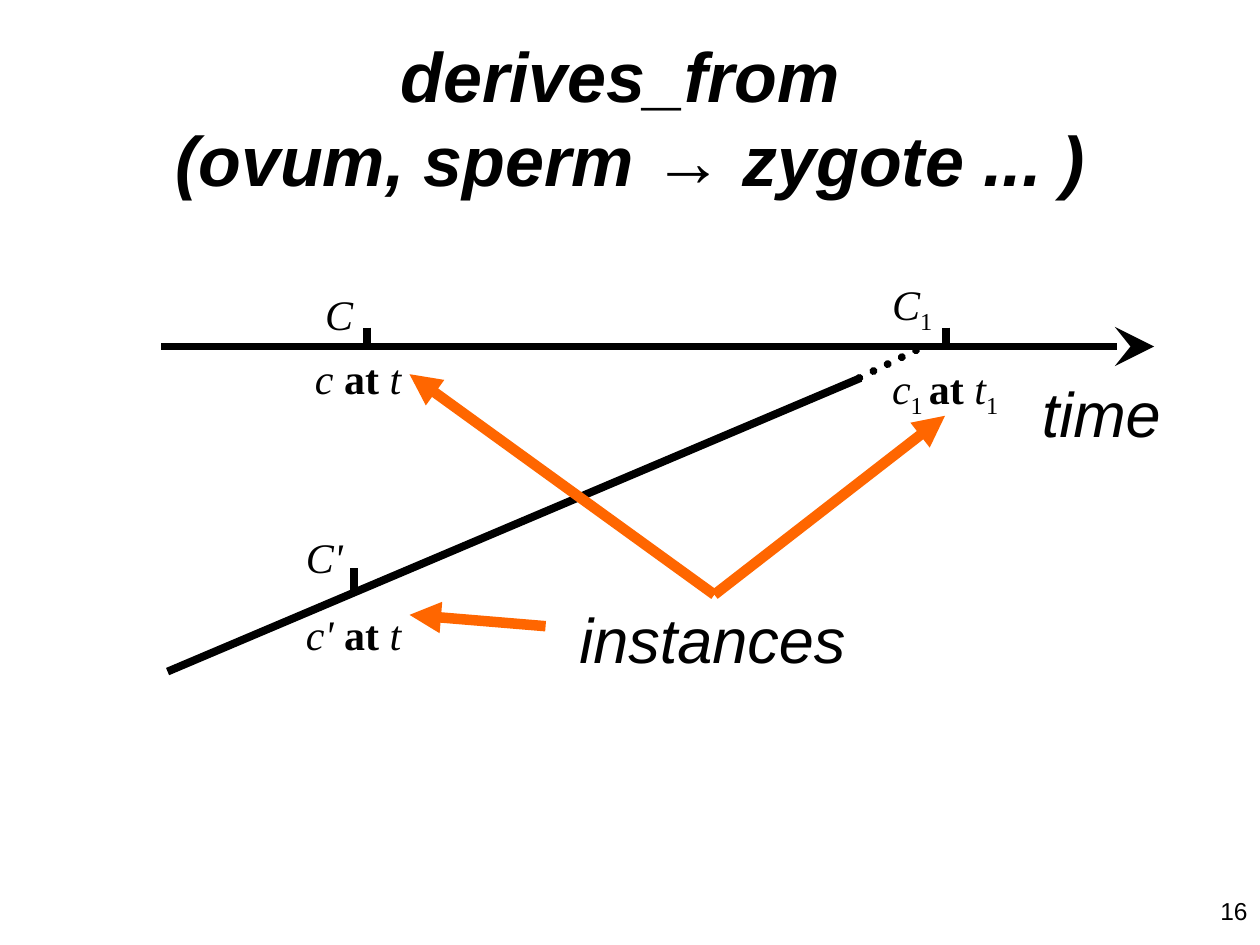
from lxml import etree
from pptx import Presentation
from pptx import util as u
from pptx.dml.color import RGBColor
from pptx.enum import dml, shapes, text
from pptx.oxml.ns import qn

COLORS = {"ink": "000000", "pointer": "FF6600"}
SERIF, SANS = "Times New Roman", "Arial"


class SlideBuilder:
    def __init__(self, slide):
        self.slide = slide

    def line(self, start, end, color="ink", width=4.5, arrow=None, size="med", dotted=False):
        """Straight line; an arrowhead, if any, sits at its end."""
        points = [u.Inches(v) for v in (*start, *end)]
        stroke = self.slide.shapes.add_connector(shapes.MSO_CONNECTOR.STRAIGHT, *points)
        stroke.line.color.rgb = RGBColor.from_string(COLORS[color])
        stroke.line.width = u.Pt(width)
        if dotted:
            stroke.line.dash_style = dml.MSO_LINE.ROUND_DOT
        ln = stroke.line._get_or_add_ln()
        if dotted:
            ln.set("cap", "rnd")
        if arrow:
            etree.SubElement(ln, qn("a:tailEnd"), type=arrow, w=size, len=size)
        etree.SubElement(stroke._element.spPr, qn("a:effectLst"))

    def text(self, box, paragraphs, size, font=SANS, align="LEFT", anchor="TOP",
             inset=(0.1, 0.05), after=0, indent=0):
        """Each paragraph is a list of (words, style): i italic, b bold, s subscript."""
        shape = self.slide.shapes.add_textbox(*(u.Inches(v) for v in box))
        frame = shape.text_frame
        frame.word_wrap = True
        frame.vertical_anchor = text.MSO_ANCHOR[anchor]
        frame.margin_left = frame.margin_right = u.Inches(inset[0])
        frame.margin_top = frame.margin_bottom = u.Inches(inset[1])
        for index, pieces in enumerate(paragraphs):
            paragraph = frame.paragraphs[0] if index == 0 else frame.add_paragraph()
            paragraph.alignment = text.PP_ALIGN[align]
            paragraph.space_after = u.Pt(after)
            if indent and index == 0:
                paragraph._p.get_or_add_pPr().set("marL", str(u.Inches(indent)))
            for words, style in pieces:
                if words == "\n":
                    paragraph.add_line_break()
                    continue
                run = paragraph.add_run()
                run.text = words
                run.font.name, run.font.size = font, u.Pt(size)
                run.font.bold, run.font.italic = "b" in style, "i" in style
                run.font.color.rgb = RGBColor.from_string(COLORS["ink"])
                if "s" in style:
                    run._r.get_or_add_rPr().set("baseline", "-25000")


def main():
    deck = Presentation()
    deck.slide_width, deck.slide_height = u.Inches(10), u.Inches(7.5)
    page = SlideBuilder(deck.slides.add_slide(deck.slide_layouts[6]))

    # Time axis and the line that merges into it
    page.line((1.28, 2.75), (9.16, 2.75), arrow="stealth", size="lg")
    page.line((1.33, 5.33), (6.83, 3))
    page.line((6.82, 3), (7.33, 2.75), dotted=True)

    # Ticks
    for x, y in ((2.91, 2.6), (7.51, 2.6), (2.81, 4.51)):
        page.line((x, y), (x, y + 0.17))

    # Classes above the lines, their instances below
    page.text((2.42, 2.25, 1.06, 1.12),
              [[("C", "i")], [("c ", "i"), ("at ", "b"), ("t", "i")]],
              24, SERIF, inset=(0.08, 0.04), after=8, indent=0.08)
    page.text((7, 2.17, 1.2, 1.34),
              [[("C", "i"), ("1", "s")],
               [("c", "i"), ("1 ", "s"), ("at ", "b"), ("t", "i"), ("1", "s")]],
              24, SERIF, inset=(0.08, 0.04), after=15)
    page.text((2.33, 4.17, 1.67, 1.11),
              [[("C'", "i")], [("c' ", "i"), ("at ", "b"), ("t", "i")]],
              24, SERIF, after=15)

    # Title
    page.text((0.5, 0.3, 9, 1.25),
              [[("derives_from ", "bi"), ("\n", ""), ("(ovum, sperm ", "bi"),
                ("→", "b"), (" zygote ... )", "bi")]],
              40, align="CENTER", anchor="MIDDLE")

    # Captions
    page.text((8.17, 2.92, 2.42, 0.7), [[("time", "i")]], 36)
    page.text((4.5, 4.72, 3.42, 0.7), [[("instances", "i")]], 36)

    # Pointers from the caption to the instances
    fork = (5.67, 4.72)
    for start, end in ((fork, (7.5, 3.3)), (fork, (3.25, 2.97)), ((4.33, 4.97), (3.25, 4.88))):
        page.line(start, end, "pointer", 6, "triangle")

    # Page number
    page.text((7.67, 7.06, 2.33, 0.52), [[("16", "")]], 14, align="RIGHT")

    deck.save("out.pptx")


if __name__ == "__main__":
    main()
